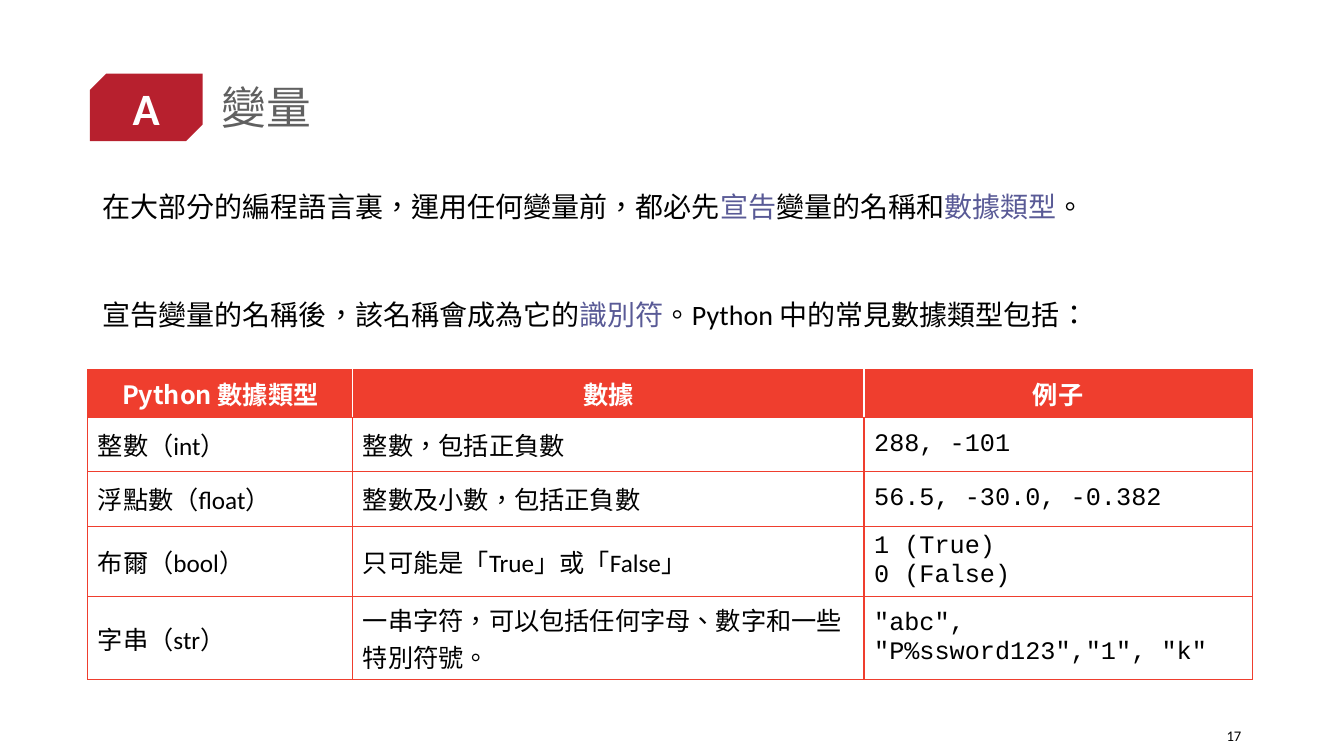
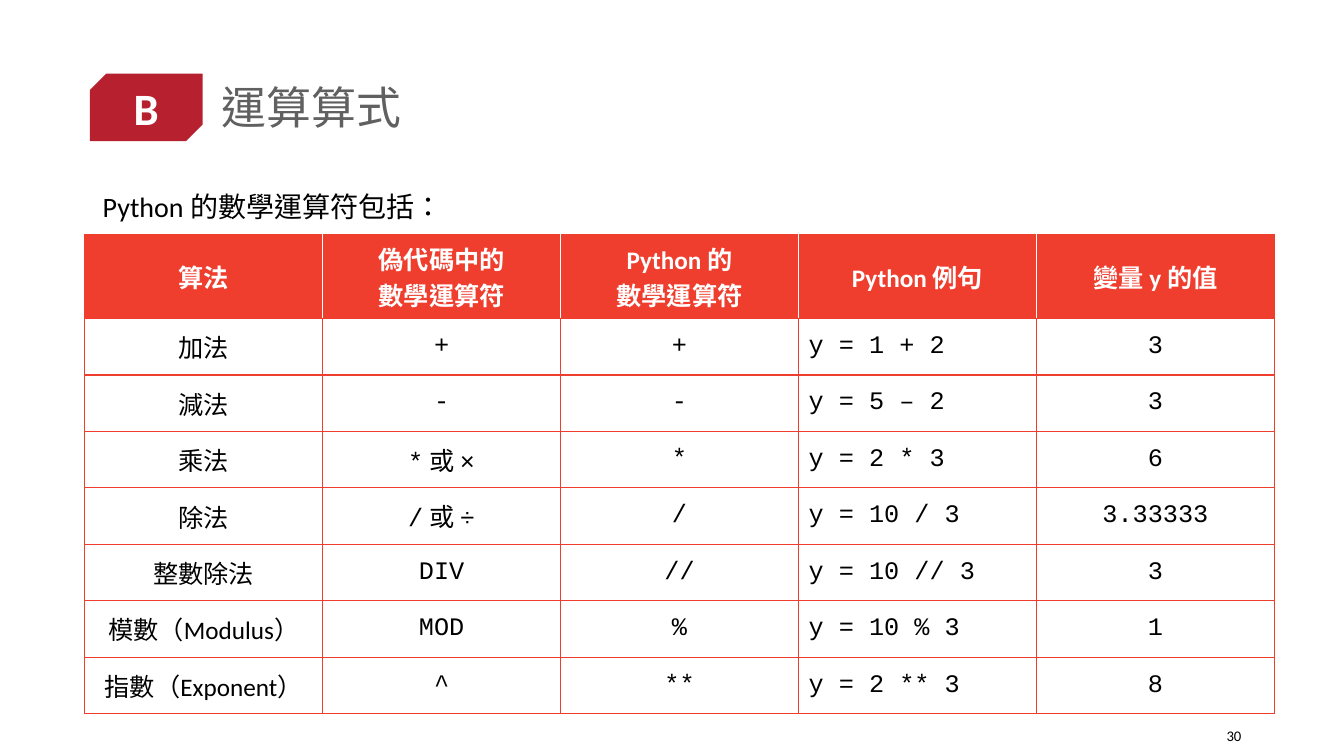
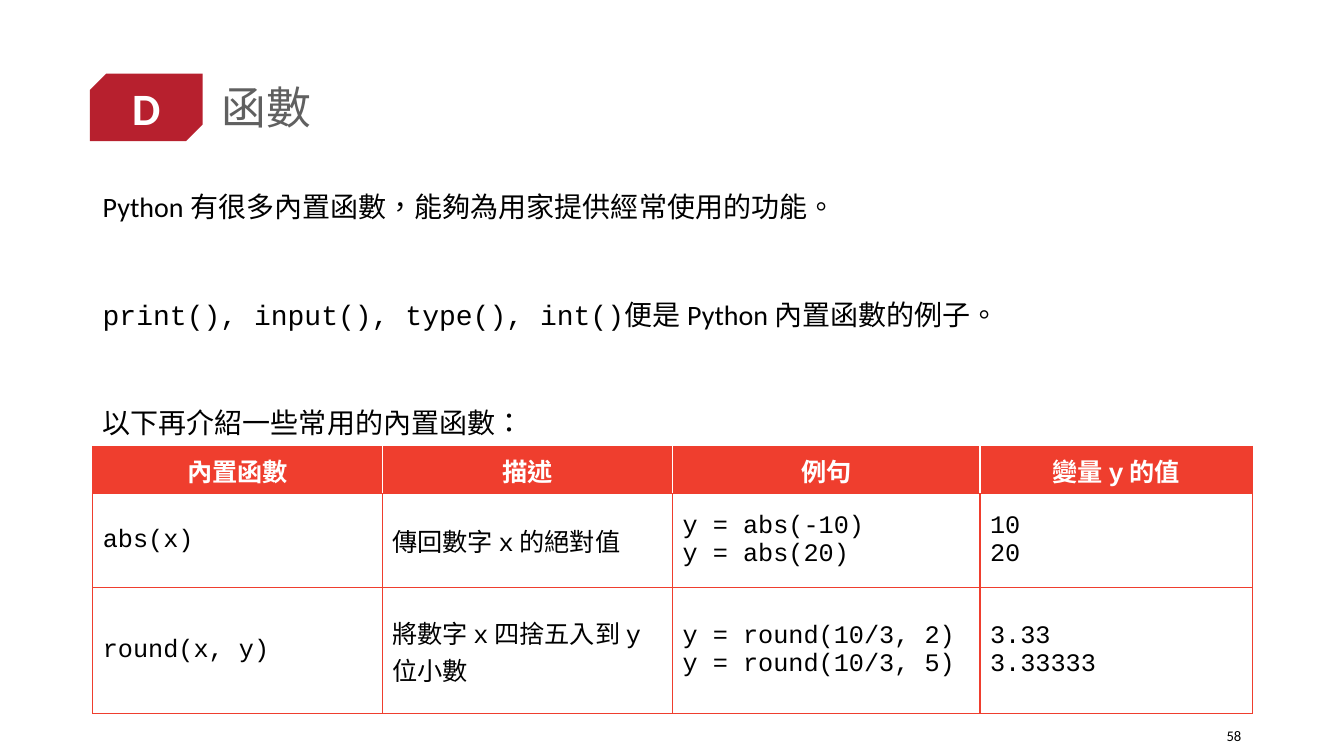
from dataclasses import dataclass

from lxml import etree
from pptx import Presentation
from pptx.dml.color import RGBColor
from pptx.enum import shapes, text
from pptx.oxml import ns
from pptx.util import Inches, Pt

BRICK = RGBColor(0xB7, 0x20, 0x2E)
RED = RGBColor(0xEF, 0x3E, 0x2E)
GREY = RGBColor(0x60, 0x60, 0x60)
VIOLET = RGBColor(0x59, 0x5A, 0x96)
BLACK = RGBColor(0, 0, 0)
WHITE = RGBColor(0xFF, 0xFF, 0xFF)

SANS = "Calibri"
HAN = "Noto Sans CJK TC"
MONO = "Courier New"
LANGUAGE = "zh-TW"

LEFT, CENTER, RIGHT = text.PP_ALIGN.LEFT, text.PP_ALIGN.CENTER, text.PP_ALIGN.RIGHT
MIDDLE, TOP = text.MSO_ANCHOR.MIDDLE, text.MSO_ANCHOR.TOP


@dataclass
class Style:
    """Look of the text in a box, paragraph by paragraph."""

    size: float
    face: str = SANS
    color: RGBColor = BLACK
    bold: bool = False
    align: int = LEFT
    line: float = 1.0
    gap: float = 0


@dataclass
class Span:
    """Piece of text that departs from the style around it."""

    words: str
    face: str = ""
    color: RGBColor = None


TITLE = Style(32, HAN, GREY, line=0.9)
BADGE = Style(32, SANS, WHITE, bold=True, align=CENTER)
NUMBER = Style(10.5, align=RIGHT)
BODY = Style(20, line=1.2, gap=48.5)


def code(words):
    """Return a span in the code face."""
    return Span(words, MONO)


def key(words, face=""):
    """Return a highlighted term."""
    return Span(words, face, VIOLET)


def write(frame, paragraphs, style):
    """Fill a text frame, one list of spans or one string per paragraph."""
    for index, spans in enumerate(paragraphs):
        para = frame.paragraphs[0] if index == 0 else frame.add_paragraph()
        para.alignment = style.align
        para.line_spacing = style.line
        para.space_before = Pt(style.gap if index else 0)
        for span in [spans] if isinstance(spans, str) else spans:
            span = Span(span) if isinstance(span, str) else span
            run = para.add_run()
            run.text = span.words
            run.font.size = Pt(style.size)
            run.font.bold = style.bold
            run.font.color.rgb = span.color or style.color
            run.font.name = span.face or style.face
            properties = run._r.get_or_add_rPr()
            properties.set("lang", LANGUAGE)
            etree.SubElement(properties, ns.qn("a:ea"), typeface=HAN)


def add_text(page, area, paragraphs, style, anchor=MIDDLE):
    """Place a wrapped text box on the page."""
    box = page.shapes.add_textbox(*map(Inches, area))
    box.text_frame.word_wrap = True
    box.text_frame.vertical_anchor = anchor
    write(box.text_frame, paragraphs, style)


def add_badge(page, area, letter):
    """Place the section letter in its snipped block."""
    badge = page.shapes.add_shape(
        shapes.MSO_SHAPE.SNIP_2_DIAG_RECTANGLE, *map(Inches, area))
    badge.adjustments[0], badge.adjustments[1] = 0.245, 0
    badge.shadow.inherit = False
    badge.fill.solid()
    badge.fill.fore_color.rgb = BRICK
    badge.line.fill.background()
    badge.text_frame.vertical_anchor = MIDDLE
    write(badge.text_frame, [letter], BADGE)


def add_border(cell, side, color):
    """Draw one edge of a cell."""
    edge = etree.SubElement(cell._tc.get_or_add_tcPr(), ns.qn(f"a:ln{side}"), w=str(Pt(1)))
    fill = etree.SubElement(edge, ns.qn("a:solidFill"))
    etree.SubElement(fill, ns.qn("a:srgbClr"), val=str(color))


def add_grid(page, left, top, widths, heights, rows, faces, aligns, header_face=HAN):
    """Place a table with a red header row and red rules."""
    area = left, top, sum(widths), sum(heights)
    table = page.shapes.add_table(len(rows), len(widths), *map(Inches, area)).table
    table.first_row = table.horz_banding = False
    for column, width in zip(table.columns, widths):
        column.width = Inches(width)
    last = len(widths) - 1
    for r, (cells, height) in enumerate(zip(rows, heights)):
        table.rows[r].height = Inches(height)
        for c, content in enumerate(cells):
            cell = table.cell(r, c)
            inner = RED if r else WHITE
            add_border(cell, "L", inner if c else RED)
            add_border(cell, "R", inner if c < last else RED)
            add_border(cell, "T", RED)
            add_border(cell, "B", RED)
            cell.fill.solid()
            cell.fill.fore_color.rgb = WHITE if r else RED
            cell.vertical_anchor = MIDDLE
            style = (Style(18, faces[c], align=aligns[c]) if r
                     else Style(18, header_face, WHITE, True, CENTER))
            paragraphs = content.split("\n") if isinstance(content, str) else [content]
            write(cell.text_frame, paragraphs, style)


def add_page(deck, letter, title, number, paragraphs):
    """Add a page with its badge, title, number and body text."""
    page = deck.slides.add_slide(deck.slide_layouts[6])
    add_badge(page, (0.89, 0.73, 1.12, 0.67), letter)
    add_text(page, (2.1, 0.4, 10.32, 1.38), [title], TITLE)
    add_text(page, (11.57, 7.1, 0.84, 0.4), [number], NUMBER)
    add_text(page, (0.92, 1.76, 11.5, 5.12), paragraphs, BODY, TOP)
    return page


def add_variables(deck):
    """Add the page on variables and data types."""
    page = add_page(deck, "A", "變量", "17", [
        ["在大部分的編程語言裏，運用任何變量前，都必先", key("宣告"),
         "變量的名稱和", key("數據類型"), "。"],
        ["宣告變量的名稱後，該名稱會成為它的", key("識別符", HAN),
         "。Python 中的常見數據類型包括："],
    ])
    rows = [
        ("Python 數據類型", "數據", "例子"),
        ("整數（int）", "整數，包括正負數", "288, -101"),
        ("浮點數（float）", "整數及小數，包括正負數", "56.5, -30.0, -0.382"),
        ("布爾（bool）", "只可能是「True」或「False」", "1 (True)\n0 (False)"),
        ("字串（str）", "一串字符，可以包括任何字母、數字和一些特別符號。",
         '"abc", "P%ssword123","1", "k"'),
    ]
    add_grid(page, 0.87, 3.67, [2.63, 5.07, 3.85], [0.47, 0.54, 0.54, 0.67, 0.82], rows,
             [SANS, SANS, MONO], [LEFT] * 3)


def add_operators(deck):
    """Add the page on arithmetic operators."""
    page = add_page(deck, "B", "運算算式", "30", ["Python 的數學運算符包括："])
    rows = [
        ("算法", "偽代碼中的\n數學運算符", "Python 的\n數學運算符", "Python 例句", "變量 y 的值"),
        ("加法", "+", "+", "y = 1 + 2", "3"),
        ("減法", "-", "-", "y = 5 – 2", "3"),
        ("乘法", ["*", Span(" 或 ", SANS), "×"], "*", "y = 2 * 3", "6"),
        ("除法", ["/", Span(" 或 ", SANS), "÷"], "/", "y = 10 / 3", "3.33333"),
        ("整數除法", "DIV", "//", "y = 10 // 3", "3"),
        ("模數（Modulus）", "MOD", "%", "y = 10 % 3", "1"),
        ("指數（Exponent）", "^", "**", "y = 2 ** 3", "8"),
    ]
    add_grid(page, 0.84, 2.33, [2.36] * 5, [0.83] + [0.56] * 7, rows,
             [SANS] + [MONO] * 4, [CENTER] * 3 + [LEFT, CENTER], SANS)


def add_functions(deck):
    """Add the page on built-in functions."""
    page = add_page(deck, "D", "函數", "58", [
        "Python 有很多內置函數，能夠為用家提供經常使用的功能。",
        [code("print(), input(), type(), int()"), "便是 Python 內置函數的例子。"],
        "以下再介紹一些常用的內置函數：",
    ])
    rows = [
        ("內置函數", "描述", "例句", ["變量 ", code("y"), Span(" 的值", SANS)]),
        ("abs(x)", ["傳回數字 ", code("x"), " 的絕對值"],
         "y = abs(-10)\ny = abs(20)", "10\n20"),
        ("round(x, y)", ["將數字 ", code("x"), " 四捨五入到 ", code("y"), " 位小數"],
         "y = round(10/3, 2)\ny = round(10/3, 5)", "3.33\n3.33333"),
    ]
    add_grid(page, 0.92, 4.43, [2.87, 2.88, 3.05, 2.7], [0.47, 0.93, 1.25], rows,
             [MONO, SANS, MONO, MONO], [LEFT] * 4)


def main():
    """Build the deck and save it."""
    deck = Presentation()
    deck.slide_width, deck.slide_height = Inches(13.33), Inches(7.5)
    add_variables(deck)
    add_operators(deck)
    add_functions(deck)
    deck.save("out.pptx")


if __name__ == "__main__":
    main()
